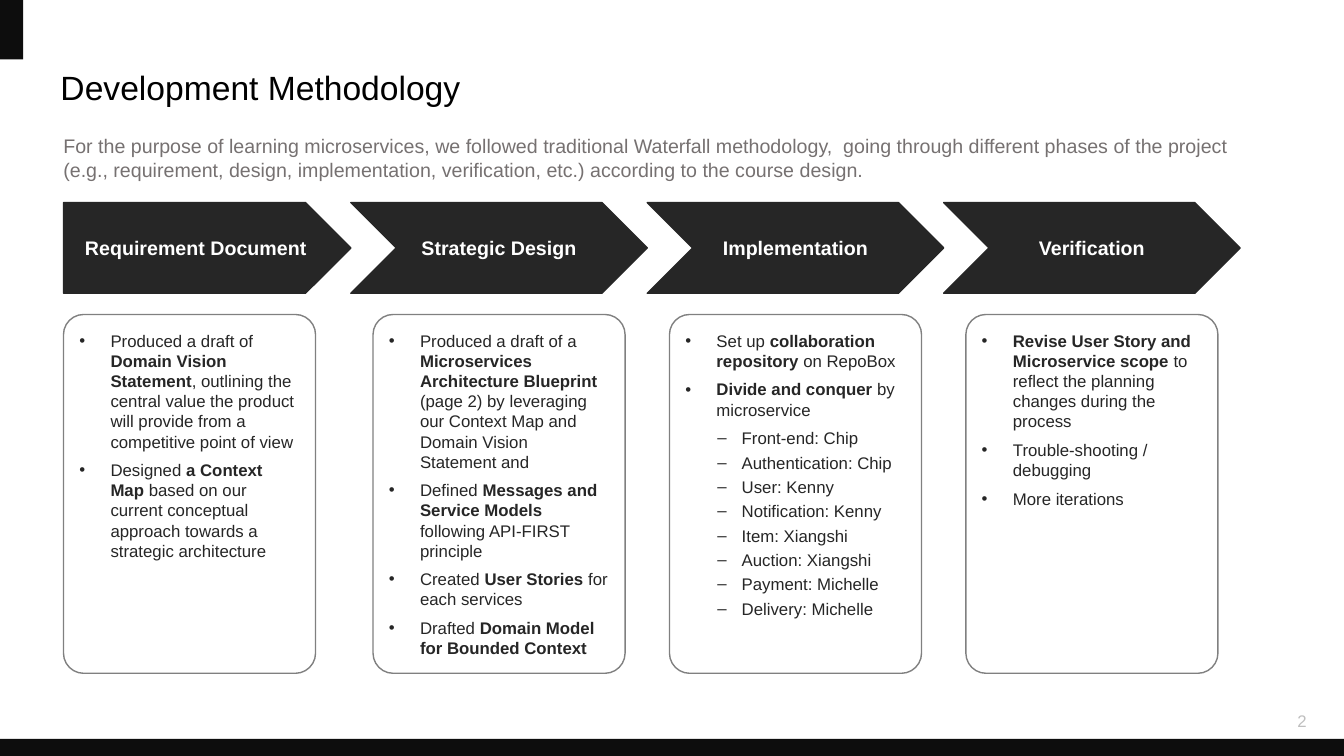
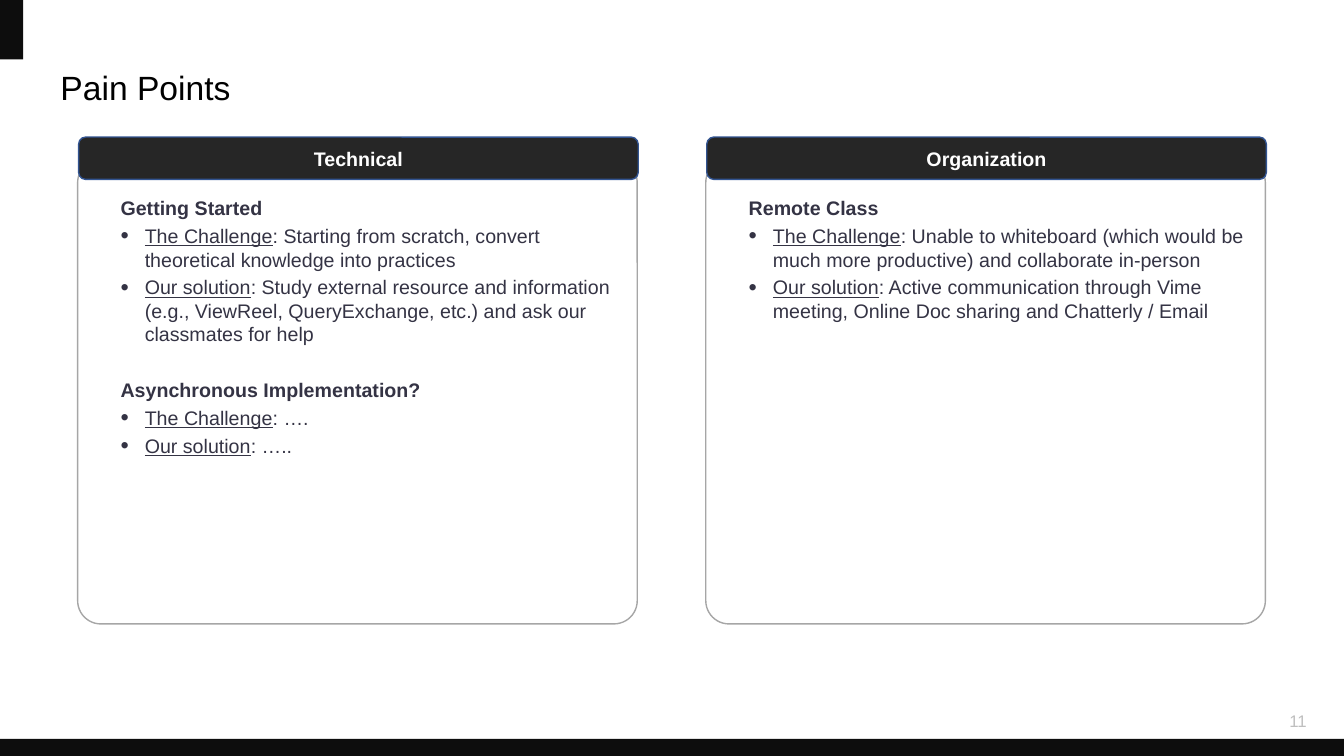
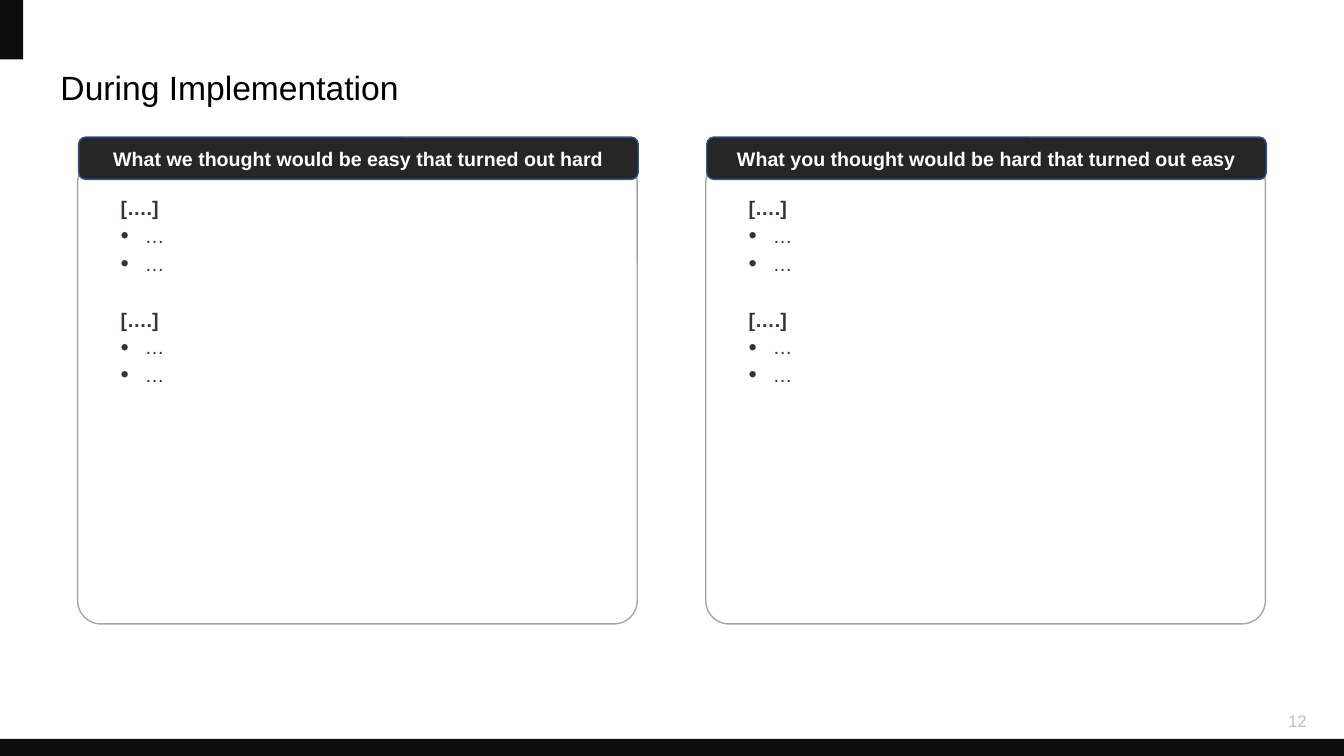
from dataclasses import dataclass, replace
from typing import Optional

from lxml import etree
from pptx import Presentation
from pptx.dml.color import RGBColor
from pptx.enum.shapes import MSO_SHAPE
from pptx.enum.text import MSO_ANCHOR, MSO_AUTO_SIZE, PP_ALIGN
from pptx.oxml.ns import qn
from pptx.util import Inches, Pt

RECT, ROUND = MSO_SHAPE.RECTANGLE, MSO_SHAPE.ROUNDED_RECTANGLE
PENTAGON, CHEVRON = MSO_SHAPE.PENTAGON, MSO_SHAPE.CHEVRON
LEFT, CENTER, RIGHT = PP_ALIGN.LEFT, PP_ALIGN.CENTER, PP_ALIGN.RIGHT
TOP, MIDDLE = MSO_ANCHOR.TOP, MSO_ANCHOR.MIDDLE

BLACK = RGBColor(0x00, 0x00, 0x00)
WHITE = RGBColor(0xFF, 0xFF, 0xFF)
BAND = RGBColor(0x0D, 0x0D, 0x0D)
DARK = RGBColor(0x26, 0x26, 0x26)
INK = RGBColor(0x34, 0x33, 0x44)
SUBTITLE = RGBColor(0x76, 0x71, 0x71)
CARD_LINE = RGBColor(0x80, 0x80, 0x80)
PANEL_LINE = RGBColor(0xA6, 0xA6, 0xA6)
HEADER_LINE = RGBColor(0x32, 0x54, 0x91)
NUMBER = RGBColor(0xBF, 0xBF, 0xBF)

FONT = "Arial"
SLIDE_W, SLIDE_H = 13.33, 7.5
BAND_H = 0.17

# Process slide: arrows and cards share one column pitch
STEP_LEFT, STEP_PITCH = 0.54, 2.94
ARROW_TOP, ARROW_H = 2.01, 0.9
CARD_TOP, CARD_W, CARD_H = 3.12, 2.5, 3.56
CARD_INDENT = 0.22
FIRST_LEFT = 0.63

# Two-panel slides
PANEL_LEFT, PANEL_PITCH, PANEL_W = 0.77, 6.23, 5.55
PANEL_TOP, PANEL_H = 1.58, 4.61
HEADER_TOP, HEADER_H = 1.36, 0.42


@dataclass(frozen=True)
class Style:
    size: float
    color: RGBColor
    bold: bool = False
    align: PP_ALIGN = LEFT
    emphasis: str = "bold"
    level: int = 0
    margin: float = 0
    indent: float = 0
    before: float = 0
    after: float = 0
    bullet: str = ""
    bullet_pct: int = 100


TITLE_STYLE = Style(24, BLACK)
INTRO_STYLE = Style(14, SUBTITLE)
NUMBER_STYLE = Style(12, NUMBER, align=RIGHT)
LABEL = Style(14, WHITE, bold=True, align=CENTER)
POINT = Style(12, DARK, margin=0.31, indent=-0.31, after=6, bullet="•")
SUBPOINT = replace(POINT, level=1, margin=0.56, indent=-0.24, after=3, bullet="‒")
HEADING = Style(14, INK, bold=True, level=1, margin=0.26, after=3)
NEXT_HEADING = replace(HEADING, before=20)
ITEM = Style(14, INK, emphasis="underline", level=1, margin=0.5, indent=-0.24,
             after=3, bullet="•", bullet_pct=120)


@dataclass(frozen=True)
class Line:
    text: str
    style: Style


@dataclass(frozen=True)
class Column:
    label: str
    lines: list[Line]


def points(*texts: str) -> list[Line]:
    return [Line(t, POINT) for t in texts]


def topics(*groups: tuple[str, list[str]]) -> list[Line]:
    lines = []
    for i, (heading, items) in enumerate(groups):
        lines.append(Line(heading, NEXT_HEADING if i else HEADING))
        lines += [Line(t, ITEM) for t in items]
    return lines


STEPS = [
    Column("Requirement Document", points(
        "Produced a draft of *Domain Vision Statement*, outlining the central value "
        "the product will provide from a competitive point of view",
        "Designed *a Context Map *based on our current conceptual approach towards "
        "a strategic architecture")),
    Column("Strategic Design", points(
        "Produced a draft of a *Microservices Architecture Blueprint *(page 2) by "
        "leveraging our Context Map and Domain Vision Statement and",
        "Defined *Messages and Service Models *following API-FIRST principle",
        "Created *User Stories* for each services",
        "Drafted *Domain Model for Bounded Context*")),
    Column("Implementation", points(
        "Set up *collaboration repository* on RepoBox",
        "*Divide and conquer *by microservice")
        + [Line(t, SUBPOINT) for t in (
            "Front-end: Chip", "Authentication: Chip", "User: Kenny",
            "Notification: Kenny", "Item: Xiangshi", "Auction: Xiangshi",
            "Payment: Michelle", "Delivery: Michelle")]),
    Column("Verification", points(
        "*Revise User Story and Microservice scope *to reflect the planning changes "
        "during the process",
        "Trouble-shooting / debugging",
        "More iterations")),
]

PAIN_POINTS = [
    Column("Technical", topics(
        ("Getting Started", [
            "*The Challenge*: Starting from scratch, convert theoretical knowledge "
            "into practices",
            "*Our solution*: Study external resource and information (e.g., ViewReel, "
            "QueryExchange, etc.) and ask our classmates for help"]),
        ("Asynchronous Implementation?", [
            "*The Challenge*: ….", "*Our solution*: ….."]))),
    Column("Organization", topics(
        ("Remote Class", [
            "*The Challenge*: Unable to whiteboard (which would be much more "
            "productive) and collaborate in-person",
            "*Our solution*: Active communication through Vime meeting, Online Doc "
            "sharing and Chatterly / Email"]))),
]

OPEN_TOPICS = topics(*[("[….]", ["…", "…"])] * 2)
SURPRISES = [
    Column("What we thought would be easy that turned out hard", OPEN_TOPICS),
    Column("What you thought would be hard that turned out easy", OPEN_TOPICS),
]


def box(*lengths: float) -> list[int]:
    return [Inches(v) for v in lengths]


def add_bullet(p, style: Style) -> None:
    pPr = p._p.get_or_add_pPr()
    pPr.set("marL", str(Inches(style.margin)))
    pPr.set("indent", str(Inches(style.indent)))
    if not style.bullet:
        etree.SubElement(pPr, qn("a:buNone"))
        return
    for tag, attr, value in (("a:buSzPct", "val", str(style.bullet_pct * 1000)),
                             ("a:buFont", "typeface", FONT),
                             ("a:buChar", "char", style.bullet)):
        etree.SubElement(pPr, qn(tag)).set(attr, value)


def write(sp, lines: list[Line], anchor: MSO_ANCHOR = TOP,
          top: float = 0.05) -> None:
    """Fill a shape with lines; text between asterisks gets the style's emphasis."""
    tf = sp.text_frame
    frame = {"word_wrap": True, "auto_size": MSO_AUTO_SIZE.NONE,
             "vertical_anchor": anchor, "margin_top": Inches(top)}
    for name, value in frame.items():
        setattr(tf, name, value)
    for i, line in enumerate(lines):
        style = line.style
        p = tf.add_paragraph() if i else tf.paragraphs[0]
        layout = {"alignment": style.align, "level": style.level,
                  "space_before": Pt(style.before), "space_after": Pt(style.after)}
        for name, value in layout.items():
            setattr(p, name, value)
        add_bullet(p, style)
        for j, text in enumerate(line.text.split("*")):
            if not text:
                continue
            r = p.add_run()
            r.text = text
            font = {"name": FONT, "size": Pt(style.size), "bold": style.bold}
            if j % 2:
                font[style.emphasis] = True
            for name, value in font.items():
                setattr(r.font, name, value)
            r.font.color.rgb = style.color


def add_box(s, kind: MSO_SHAPE, at: list[int], fill: Optional[RGBColor] = None,
            line: Optional[RGBColor] = None, adj: Optional[float] = None):
    sp = s.shapes.add_shape(kind, *at)
    sp.shadow.inherit = False
    if adj is not None:
        sp.adjustments[0] = adj
    if fill is None:
        sp.fill.background()
    else:
        sp.fill.solid()
        sp.fill.fore_color.rgb = fill
    if line is None:
        sp.line.fill.background()
    else:
        sp.line.color.rgb = line
        sp.line.width = Pt(1)
    return sp


def add_text(s, at: list[int], text: str, style: Style,
             anchor: MSO_ANCHOR = TOP) -> None:
    write(s.shapes.add_textbox(*at), [Line(text, style)], anchor)


def add_slide(prs, title: str, number: int):
    """Add a slide with the shared title, bands and page number."""
    s = prs.slides.add_slide(prs.slide_layouts[5])
    sp = s.shapes.title
    sp.left, sp.top, sp.width, sp.height = box(0.5, 0.61, 7.03, 0.5)
    write(sp, [Line(title, TITLE_STYLE)])
    add_box(s, RECT, box(0, SLIDE_H - BAND_H, SLIDE_W, BAND_H), BAND)
    add_box(s, RECT, box(0, 0, 0.23, 0.59), BAND)
    add_text(s, box(10.06, 6.95, 3, 0.4), str(number), NUMBER_STYLE, MIDDLE)
    return s


def add_steps(s, steps: list[Column]) -> None:
    for i, step in enumerate(steps):
        left = STEP_LEFT + i * STEP_PITCH
        start = left if i else FIRST_LEFT
        arrow = add_box(s, CHEVRON if i else PENTAGON,
                        box(start, ARROW_TOP, left + STEP_PITCH - start, ARROW_H),
                        DARK, DARK, 0.5)
        write(arrow, [Line(step.label, LABEL)], MIDDLE)
        card_left = left + CARD_INDENT if i else FIRST_LEFT
        card = add_box(s, ROUND, box(card_left, CARD_TOP, CARD_W, CARD_H),
                       line=CARD_LINE, adj=0.08)
        write(card, step.lines, top=0.1)


def add_panels(s, panels: list[Column]) -> None:
    for i, panel in enumerate(panels):
        left = PANEL_LEFT + i * PANEL_PITCH
        body = add_box(s, ROUND, box(left, PANEL_TOP, PANEL_W, PANEL_H),
                       line=PANEL_LINE, adj=0.05)
        write(body, panel.lines, top=0.3)
        header = add_box(s, ROUND, box(left + 0.01, HEADER_TOP, PANEL_W, HEADER_H),
                         DARK, HEADER_LINE)
        write(header, [Line(panel.label, LABEL)], MIDDLE)


def main() -> None:
    prs = Presentation()
    prs.slide_width, prs.slide_height = box(SLIDE_W, SLIDE_H)

    s = add_slide(prs, "Development Methodology", 2)
    add_text(s, box(0.53, 1.28, 11.76, 0.57),
             "For the purpose of learning microservices, we followed traditional "
             "Waterfall methodology,  going through different phases of the project "
             "(e.g., requirement, design, implementation, verification, etc.) "
             "according to the course design.", INTRO_STYLE)
    add_steps(s, STEPS)

    add_panels(add_slide(prs, "Pain Points", 11), PAIN_POINTS)
    add_panels(add_slide(prs, "During Implementation", 12), SURPRISES)
    prs.save("out.pptx")


if __name__ == "__main__":
    main()
